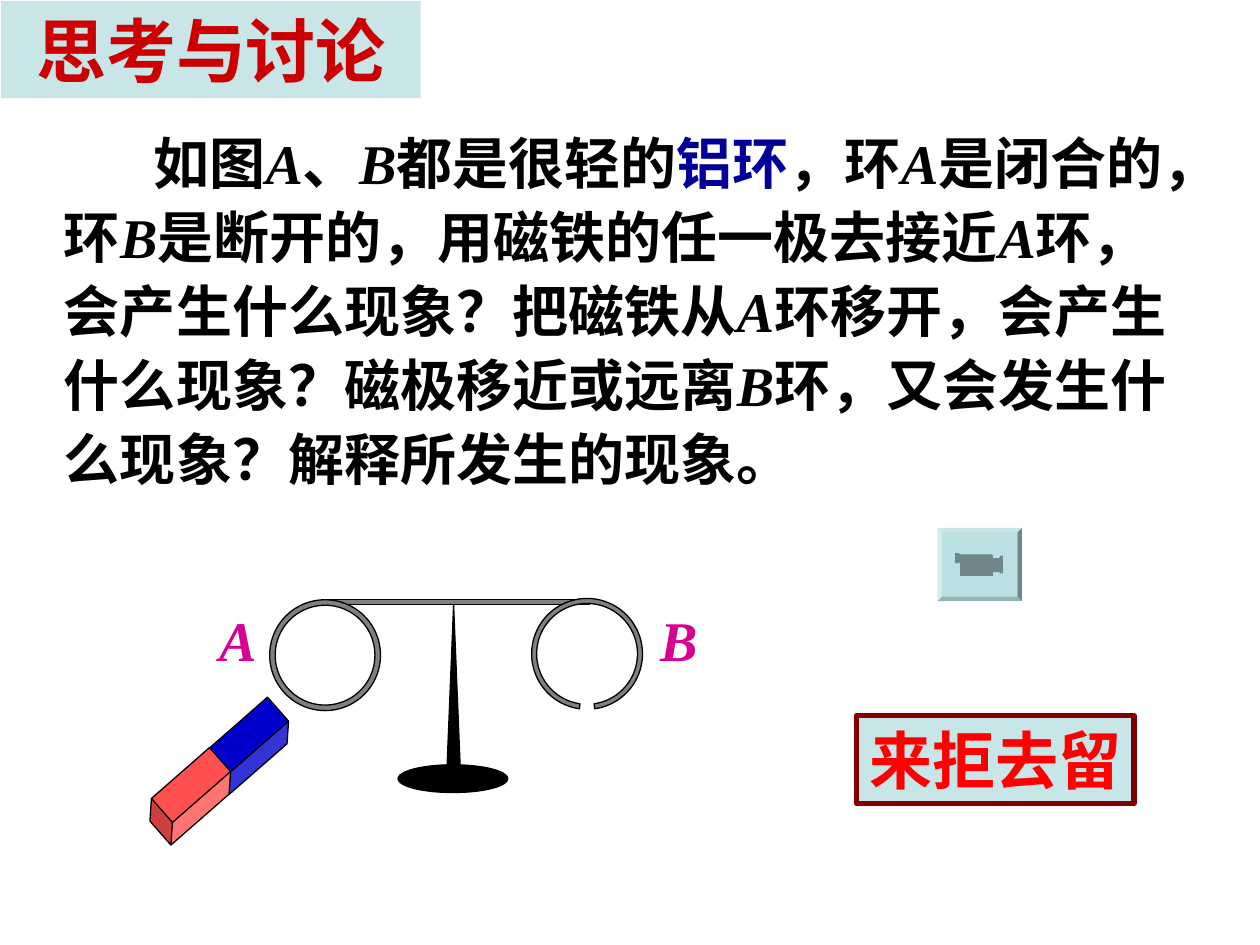
import math

from lxml import etree
from pptx import Presentation
from pptx.dml.color import RGBColor
from pptx.enum.shapes import MSO_SHAPE
from pptx.enum.text import MSO_ANCHOR, PP_ALIGN
from pptx.oxml.ns import qn
from pptx.util import Inches, Pt

RECT = MSO_SHAPE.RECTANGLE
OVAL = MSO_SHAPE.OVAL
CONE = MSO_SHAPE.ISOSCELES_TRIANGLE
DONUT = MSO_SHAPE.DONUT
CUBE = MSO_SHAPE.CUBE
BEVEL = MSO_SHAPE.BEVEL
MIDDLE = MSO_ANCHOR.MIDDLE
TOP = MSO_ANCHOR.TOP
LEFT = PP_ALIGN.LEFT
CENTER = PP_ALIGN.CENTER

HAN = "Noto Sans CJK SC"
ROMAN = "Times New Roman"
HUES = {
    "pale": "BBE0E3", "title": "CC0000", "text": "000000", "key": "000099",
    "metal": "808080", "north": "0000CC", "south": "FF5050",
    "label": "D60093", "red": "FF0000", "frame": "800000", "film": "708688",
}
BODY = [
    "如图", "A", "、", "B", "都是很轻的", "铝环", "，环", "A", "是闭合的，环", "B",
    "是断开的，用磁铁的任一极去接近", "A", "环，会产生什么现象？把磁铁从", "A",
    "环移开，会产生什么现象？磁极移近或远离", "B",
    "环，又会发生什么现象？解释所发生的现象。",
]
CAMERA = [
    (7.58, 4.39), (7.61, 4.39), (7.62, 4.4), (7.87, 4.4), (7.88, 4.41),
    (7.88, 4.43), (7.93, 4.43), (7.94, 4.41), (7.96, 4.41), (7.96, 4.55),
    (7.94, 4.55), (7.93, 4.54), (7.88, 4.54), (7.88, 4.57), (7.62, 4.57),
    (7.62, 4.46), (7.61, 4.47), (7.58, 4.47),
]


def color(name):
    return RGBColor.from_string(HUES[name])


def paint(shape, fill, line=None, width=0.75):
    shape.shadow.inherit = False
    shape.fill.solid()
    shape.fill.fore_color.rgb = color(fill)
    if line:
        shape.line.color.rgb = color(line)
        shape.line.width = Pt(width)
    else:
        shape.line.fill.background()


def add_part(slide, kind, box, fill, line="text", width=0.75, adj=None, turn=0):
    shape = slide.shapes.add_shape(kind, *map(Inches, box))
    paint(shape, fill, line, width)
    if adj is not None:
        shape.adjustments[0] = adj
    shape.rotation = turn
    return shape


def add_path(slide, points, fill, line=None):
    spots = [(Inches(x), Inches(y)) for x, y in points]
    pen = slide.shapes.build_freeform(*spots[0])
    pen.add_line_segments(spots[1:])
    paint(pen.convert_to_shape(), fill, line)


def fade(shape, share):
    hue = shape.fill._xPr.find(".//" + qn("a:srgbClr"))
    etree.SubElement(hue, qn("a:alpha")).set("val", str(share * 1000))


def style(para, size, face, hue, align=LEFT):
    para.alignment = align
    font = para.font
    font.size = Pt(size)
    font.bold = True
    font.name = face
    font.color.rgb = color(hue)
    etree.SubElement(font._element, qn("a:ea")).set("typeface", HAN)


def add_sign(slide, box, text, size, hue, line=None):
    shape = add_part(slide, RECT, box, "pale", line, 3)
    fade(shape, 80)
    frame = shape.text_frame
    frame.word_wrap = False
    frame.vertical_anchor = MIDDLE
    frame.text = text
    style(frame.paragraphs[0], size, HAN, hue, CENTER)


def add_text(slide, box, wrap=True):
    frame = slide.shapes.add_textbox(*map(Inches, box)).text_frame
    frame.word_wrap = wrap
    frame.vertical_anchor = TOP
    return frame.paragraphs[0]


def add_body(slide):
    para = add_text(slide, (0.41, 0.92, 9.16, 3.04))
    para.line_spacing = 1.1
    para._p.get_or_add_pPr().set("indent", str(Inches(0.71)))
    style(para, 32, ROMAN, "text")
    for part in BODY:
        run = para.add_run()
        run.text = part
        if part in ("A", "B"):
            run.font.italic = True
        if part == "铝环":
            run.font.color.rgb = color("key")


def add_label(slide, x, text):
    para = add_text(slide, (x, 4.76, 0.49, 0.64), False)
    para.text = text
    style(para, 32, ROMAN, "label")
    para.font.italic = True


def arc(x, y, radius, start, end):
    count = 90
    angles = [math.radians(start + (end - start) * i / count)
              for i in range(count + 1)]
    return [(x + radius * math.cos(a), y + radius * math.sin(a)) for a in angles]


def add_scale(slide):
    add_part(slide, RECT, (2.56, 4.76, 2.12, 0.04), "metal")
    add_part(slide, DONUT, (2.14, 4.76, 0.88, 0.88), "metal", adj=0.05)
    ring = arc(4.66, 5.19, 0.44, 98, 442) + arc(4.66, 5.19, 0.4, 442, 98)
    add_path(slide, ring, "metal", "text")
    add_part(slide, CONE, (3.54, 4.8, 0.12, 1.48), "text")
    add_part(slide, OVAL, (3.16, 6.07, 0.87, 0.22), "text")
    add_label(slide, 1.64, "A")
    add_label(slide, 5.14, "B")


def add_magnet(slide):
    for x, y, hue in ((1.6, 5.73, "north"), (1.14, 6.13, "south")):
        add_part(slide, CUBE, (x, y, 0.74, 0.38), hue, adj=0.334, turn=138.8)


def add_button(slide):
    add_part(slide, BEVEL, (7.44, 4.19, 0.67, 0.58), "pale", None, adj=0.06)
    add_path(slide, CAMERA, "film")


def main():
    deck = Presentation()
    deck.slide_width = Inches(10)
    deck.slide_height = Inches(7.5)
    slide = deck.slides.add_slide(deck.slide_layouts[6])
    add_sign(slide, (0.01, 0.01, 3.33, 0.77), "思考与讨论", 40, "title")
    add_body(slide)
    add_button(slide)
    add_scale(slide)
    add_magnet(slide)
    add_sign(slide, (6.8, 5.68, 2.2, 0.7), "来拒去留", 36, "red", "frame")
    deck.save("out.pptx")


if __name__ == "__main__":
    main()
